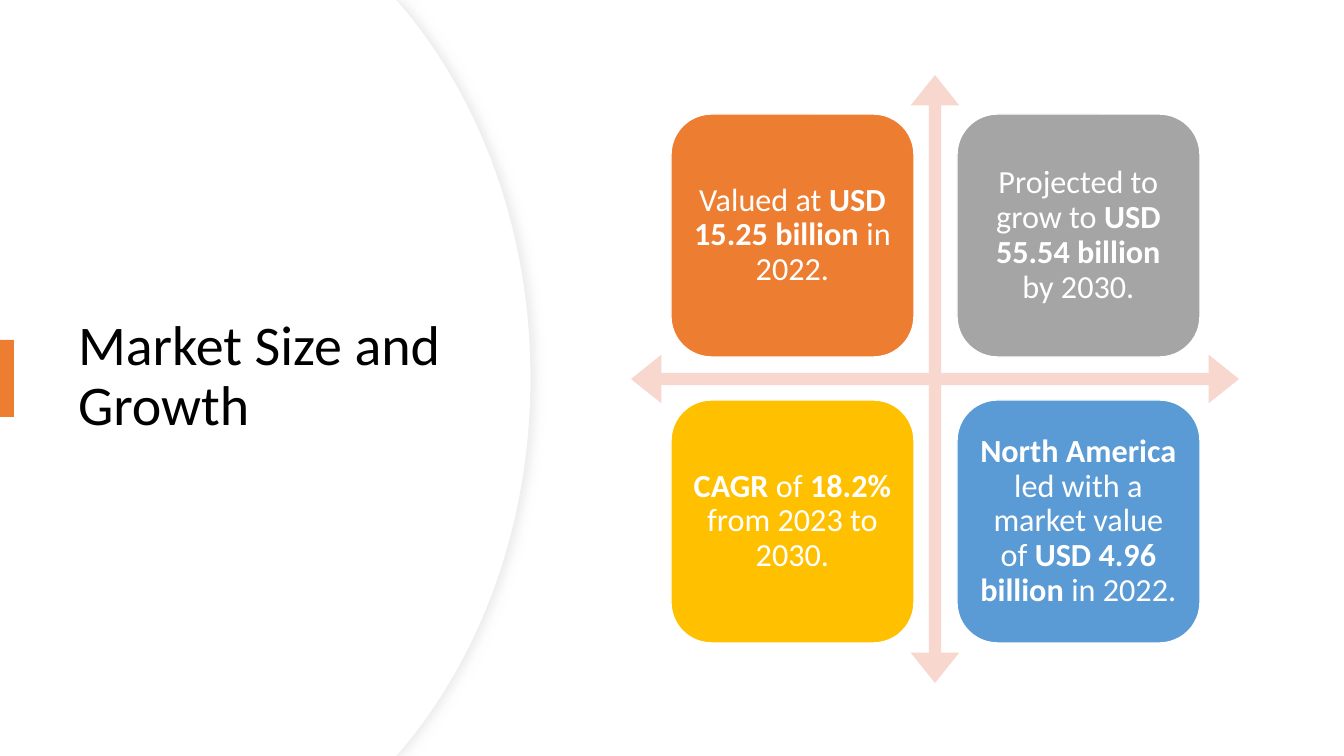
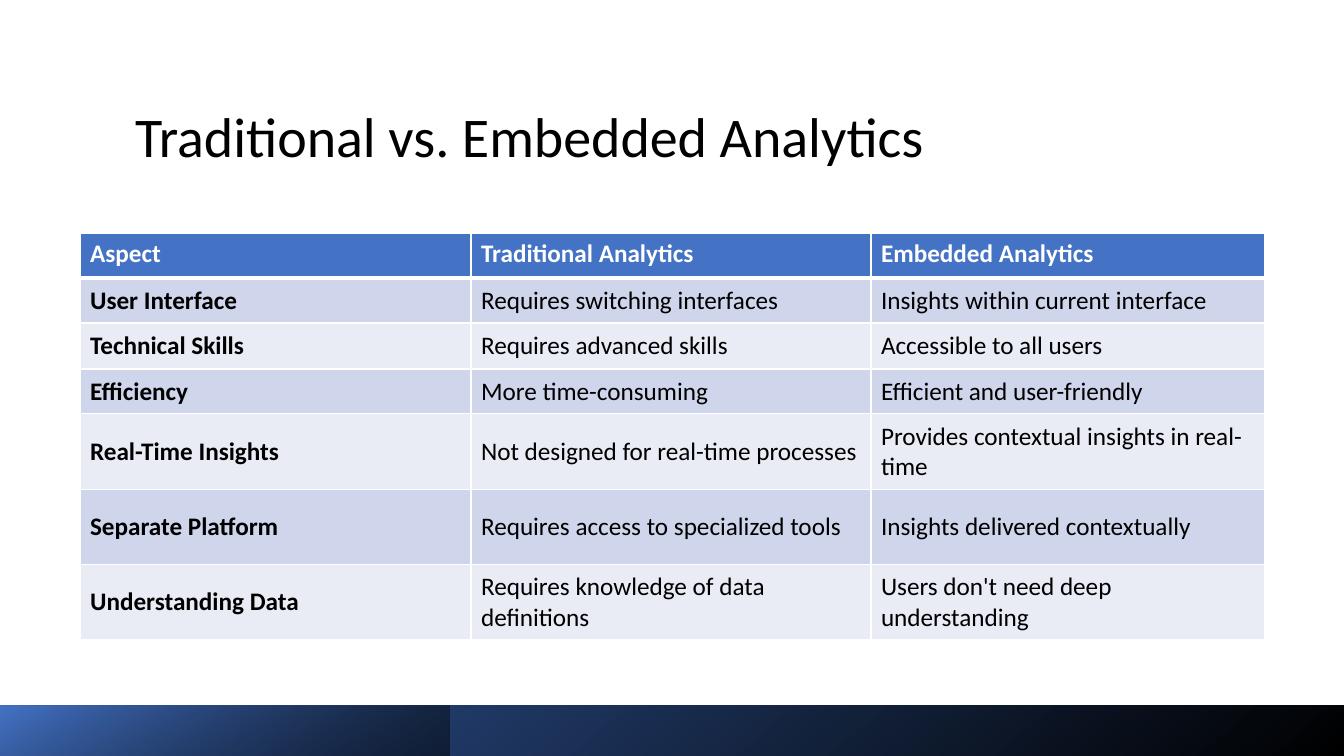
from lxml.etree import SubElement
from pptx import Presentation
from pptx.dml.color import RGBColor
from pptx.enum.shapes import MSO_SHAPE
from pptx.enum.text import MSO_ANCHOR, MSO_AUTO_SIZE, PP_ALIGN
from pptx.oxml import parse_xml
from pptx.oxml.ns import nsdecls, qn
from pptx.util import Emu, Pt

EMU_PER_PX = 9525 / 1.05
WIDTH, HEIGHT = 1344, 756
FONT = "Calibri"
COLORS = {
    "white": "FFFFFF", "black": "000000", "outline": "EFEFEF", "shadow": "D9D9D9",
    "orange": "ED7D31", "gray": "A5A5A5", "gold": "FFC000", "sky": "5B9BD5",
    "arrow": "F8D7CE", "blue": "4472C4", "navy": "2F5597",
    "band_dark": "CFD5EA", "band_light": "E9EBF5",
}

# Each card: fill colour and (text, bold) runs, in reading order
CARDS = [
    ("orange", [("Valued at ", False), ("USD 15.25 billion", True), (" in 2022.", False)]),
    ("gray", [("Projected to grow to ", False), ("USD 55.54 billion", True),
              (" by 2030.", False)]),
    ("gold", [("CAGR", True), (" of ", False), ("18.2%", True),
              (" from 2023 to 2030.", False)]),
    ("sky", [("North America", True), (" led with a market value of ", False),
             ("USD 4.96 billion", True), (" in 2022.", False)]),
]
CARD_LEFT, CARD_TOP, CARD_SIZE, CARD_STEP = 671, 114, 243, 286

COMPARISON = [
    ("Aspect", "Traditional Analytics", "Embedded Analytics"),
    ("User Interface", "Requires switching interfaces", "Insights within current interface"),
    ("Technical Skills", "Requires advanced skills", "Accessible to all users"),
    ("Efficiency", "More time-consuming", "Efficient and user-friendly"),
    ("Real-Time Insights", "Not designed for real-time processes",
     "Provides contextual insights in real-time"),
    ("Separate Platform", "Requires access to specialized tools",
     "Insights delivered contextually"),
    ("Understanding Data", "Requires knowledge of data definitions",
     "Users don't need deep understanding"),
]
COLUMN_WIDTHS = [391, 400, 394]
ROW_HEIGHTS = [45, 45, 46, 45, 76, 75, 75]

# Each footer bar: width, end colour, end position, angle, opacity of the black end in %
FOOTER_BARS = [(WIDTH, "navy", 1, 130, 100), (450, "blue", 0.99, 120, 46)]
FOOTER_TOP, FOOTER_HEIGHT = 706, 51


def px(value):
    return Emu(round(value * EMU_PER_PX))


def rgb(name):
    return RGBColor.from_string(COLORS[name])


def add_run(paragraph, text, size, color, bold=False):
    run = paragraph.add_run()
    run.text = text
    run.font.name, run.font.size, run.font.bold = FONT, Pt(size), bold
    run.font.color.rgb = rgb(color)


def style_shape(shape, fill=None, line=None, line_width=1):
    shape.shadow.inherit = False
    if fill:
        shape.fill.solid()
        shape.fill.fore_color.rgb = rgb(fill)
    if line:
        shape.line.color.rgb = rgb(line)
        shape.line.width = Pt(line_width)
    else:
        shape.line.fill.background()


def add_box(slide, kind, box, **style):
    shape = slide.shapes.add_shape(kind, *map(px, box))
    style_shape(shape, **style)
    return shape


def add_titled_slide(presentation, text, box):
    slide = presentation.slides.add_slide(presentation.slide_layouts[5])
    title = slide.shapes.title
    title.left, title.top, title.width, title.height = map(px, box)
    frame = title.text_frame
    frame.auto_size = MSO_AUTO_SIZE.NONE
    frame.word_wrap = True
    frame.vertical_anchor = MSO_ANCHOR.MIDDLE
    paragraph = frame.paragraphs[0]
    paragraph.alignment = PP_ALIGN.LEFT
    paragraph.line_spacing = 0.9
    add_run(paragraph, text, 40, "black")
    return slide


def join_curve(lines):
    """Turn three line segments into one Bezier curve through their points."""
    curve = parse_xml(f'<a:cubicBezTo {nsdecls("a")}/>')
    lines[0].addprevious(curve)
    for line in lines:
        curve.append(line[0])
        line.getparent().remove(line)


def add_panel(slide, right, line=None):
    """Add the left panel, whose curved side reaches out to right."""
    upper = [(right - 134, 0), (right - 127, 8), (right - 48, 103), (right, 234)]
    lower = [(x, HEIGHT - y) for x, y in reversed(upper)]
    outline = [(0, 0), *upper, (right, HEIGHT / 2), *lower, (0, HEIGHT)]
    points = [(px(x), px(y)) for x, y in outline]
    builder = slide.shapes.build_freeform(*points[0], scale=1.0)
    builder.add_line_segments(points[1:], close=True)
    panel = builder.convert_to_shape()
    lines = list(panel.element.iter(qn("a:lnTo")))
    join_curve(lines[2:5])
    join_curve(lines[5:8])
    style_shape(panel, "white", line, 0.75)
    slide.shapes.title.element.addprevious(panel.element)
    return panel


def add_shadow(shape):
    effects = shape.element.spPr.find(qn("a:effectLst"))
    effects.append(parse_xml(
        f'<a:outerShdw {nsdecls("a")} blurRad="{Pt(7)}" dist="{Pt(3)}" dir="0" algn="l" '
        f'rotWithShape="0"><a:srgbClr val="{COLORS["shadow"]}"><a:alpha val="50000"/>'
        '</a:srgbClr></a:outerShdw>'))


def add_card(slide, index, fill, runs):
    row, column = divmod(index, 2)
    box = (CARD_LEFT + column * CARD_STEP, CARD_TOP + row * CARD_STEP, CARD_SIZE, CARD_SIZE)
    card = add_box(slide, MSO_SHAPE.ROUNDED_RECTANGLE, box, fill=fill, line="white")
    frame = card.text_frame
    frame.word_wrap = True
    frame.vertical_anchor = MSO_ANCHOR.MIDDLE
    frame.margin_left = frame.margin_right = px(10)
    frame.margin_top = frame.margin_bottom = px(10)
    paragraph = frame.paragraphs[0]
    paragraph.alignment = PP_ALIGN.CENTER
    paragraph.line_spacing = 0.9
    for text, bold in runs:
        add_run(paragraph, text, 23, "white", bold)


def add_footer_bar(slide, width, color, position, angle, opacity):
    bar = add_box(slide, MSO_SHAPE.RECTANGLE, (0, FOOTER_TOP, width, FOOTER_HEIGHT))
    bar.fill.gradient()
    bar.fill.gradient_angle = angle
    start, end = bar.fill.gradient_stops
    start.color.rgb, start.position = rgb("black"), 0
    end.color.rgb, end.position = rgb(color), position
    if opacity < 100:
        black = next(bar.element.spPr.iter(qn("a:srgbClr")))
        SubElement(black, qn("a:alpha"), val=str(opacity * 1000))


def set_borders(cell, widths):
    """Draw white borders; widths are points for left, right, top and bottom."""
    properties = cell._tc.get_or_add_tcPr()
    for index, (side, width) in enumerate(zip("LRTB", widths)):
        properties.insert(index, parse_xml(
            f'<a:ln{side} {nsdecls("a")} w="{Pt(width)}"><a:solidFill>'
            f'<a:srgbClr val="{COLORS["white"]}"/></a:solidFill></a:ln{side}>'))


def add_comparison(slide):
    """Add the table; below the header, its default style draws the white borders."""
    box = (80, 233, sum(COLUMN_WIDTHS), sum(ROW_HEIGHTS))
    table = slide.shapes.add_table(len(COMPARISON), len(COLUMN_WIDTHS), *map(px, box)).table
    for column, width in zip(table.columns, COLUMN_WIDTHS):
        column.width = px(width)
    for row_index, texts in enumerate(COMPARISON):
        table.rows[row_index].height = px(ROW_HEIGHTS[row_index])
        header = row_index == 0
        fill = "blue" if header else ("band_light", "band_dark")[row_index % 2]
        for column_index, text in enumerate(texts):
            cell = table.cell(row_index, column_index)
            cell.fill.solid()
            cell.fill.fore_color.rgb = rgb(fill)
            cell.vertical_anchor = MSO_ANCHOR.TOP if header else MSO_ANCHOR.MIDDLE
            if header:
                set_borders(cell, (1, 1, 1, 3))
            add_run(cell.text_frame.paragraphs[0], text, 18,
                    "white" if header else "black", header or column_index == 0)


def build_market_slide(presentation):
    slide = add_titled_slide(presentation, "Market Size and Growth", (68, 128, 397, 499))
    add_shadow(add_panel(slide, 531, "outline"))
    add_panel(slide, 530)
    add_box(slide, MSO_SHAPE.RECTANGLE, (0, 340, 14, 77), fill="orange")
    arrows = add_box(slide, MSO_SHAPE.QUAD_ARROW, (631, 75, 608, 608), fill="arrow")
    for index, value in enumerate((0.02, 0.04, 0.05)):
        arrows.adjustments[index] = value
    for index, (fill, runs) in enumerate(CARDS):
        add_card(slide, index, fill, runs)


def build_comparison_slide(presentation):
    slide = add_titled_slide(presentation, "Traditional vs. Embedded Analytics",
                             (125, 79, 1122, 121))
    for bar in FOOTER_BARS:
        add_footer_bar(slide, *bar)
    add_comparison(slide)


def main():
    presentation = Presentation()
    presentation.slide_width, presentation.slide_height = px(WIDTH), px(HEIGHT)
    build_market_slide(presentation)
    build_comparison_slide(presentation)
    presentation.save("out.pptx")


if __name__ == "__main__":
    main()
